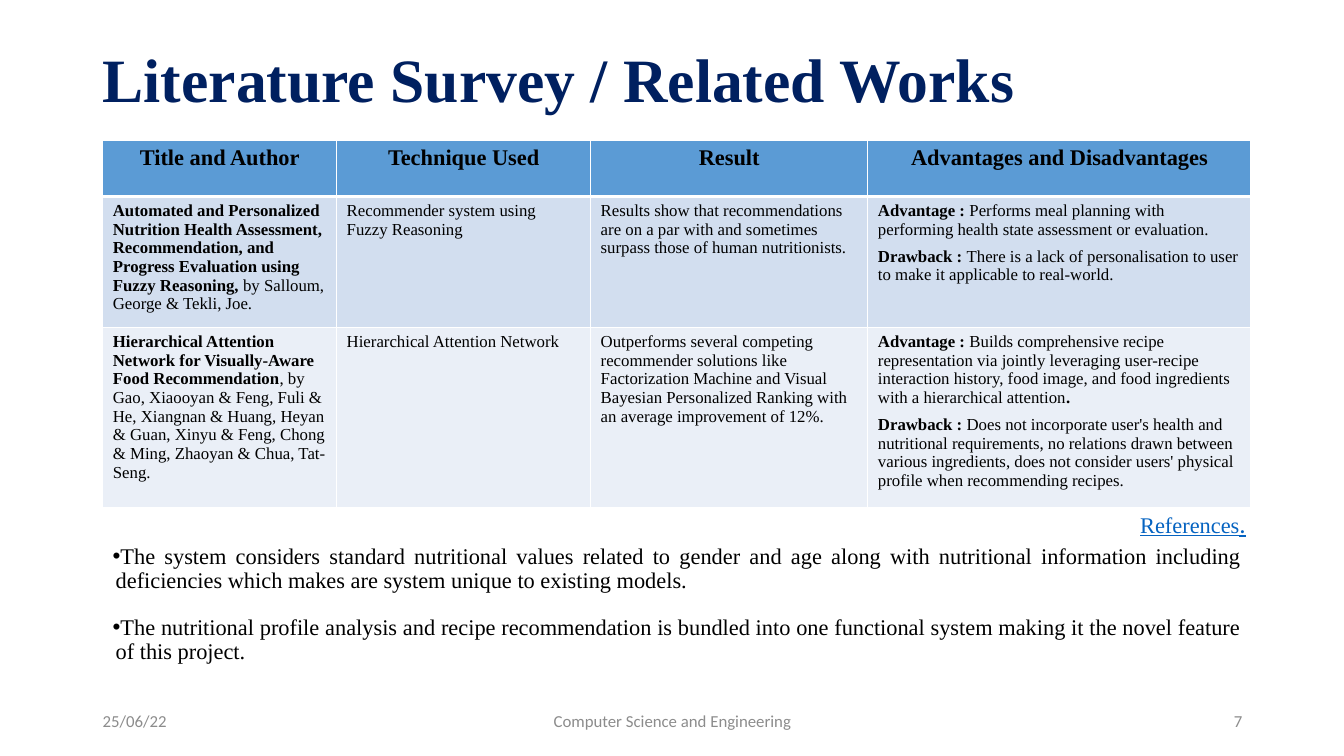
from lxml import etree
from pptx import Presentation
from pptx.dml.color import RGBColor
from pptx.enum.text import MSO_ANCHOR, PP_ALIGN
from pptx.oxml.ns import qn
from pptx.util import Inches, Pt

LEFT, MID, RIGHT, FULL = PP_ALIGN.LEFT, PP_ALIGN.CENTER, PP_ALIGN.RIGHT, PP_ALIGN.JUSTIFY
TOP, HALF = MSO_ANCHOR.TOP, MSO_ANCHOR.MIDDLE
WIDE, HIGH = Inches(13.33), Inches(7.5)
SERIF, SANS = "Times New Roman", "Calibri"
HUES = {"title": "002060", "ink": "000000", "foot": "8C8C8C", "link": "0563C1",
        "head": "5B9BD5", "odd": "D2DEEF", "even": "EAEFF7", "rule": "FFFFFF"}

COLS = [17.4, 18.9, 20.63, 28.51]
ROWS = [7.47, 16.13, 22.13]
HEADS = ["Title and Author", "Technique Used", "Result", "Advantages and Disadvantages"]
WORKS = [
    [["*Automated and Personalized Nutrition Health Assessment, Recommendation, and "
      "Progress Evaluation using Fuzzy Reasoning, *by Salloum, George & Tekli, Joe."],
     ["Recommender system using Fuzzy Reasoning"],
     ["Results show that recommendations are on a par with and sometimes surpass those "
      "of human nutritionists."],
     ["*Advantage : *Performs meal planning with performing health state assessment or "
      "evaluation.",
      "*Drawback : *There is a lack of personalisation to user to make it applicable to "
      "real-world."]],
    [["*Hierarchical Attention Network for Visually-Aware Food Recommendation*, by Gao, "
      "Xiaooyan & Feng, Fuli & He, Xiangnan & Huang, Heyan & Guan, Xinyu & Feng, Chong "
      "& Ming, Zhaoyan & Chua, Tat-Seng."],
     ["Hierarchical Attention Network"],
     ["Outperforms several competing recommender solutions like Factorization Machine "
      "and Visual Bayesian Personalized Ranking with an average improvement of 12%."],
     ["*Advantage : *Builds comprehensive recipe representation via jointly leveraging "
      "user-recipe interaction history, food image, and food ingredients with a "
      "hierarchical attention*.*",
      "*Drawback : *Does not incorporate user's health and nutritional requirements, no "
      "relations drawn between various ingredients, does not consider users' physical "
      "profile when recommending recipes."]],
]
NOTES = [
    "The system considers standard nutritional values related to gender and age along with "
    "nutritional information including deficiencies which makes are system unique to "
    "existing models.",
    "The nutritional profile analysis and recipe recommendation is bundled into one "
    "functional system making it the novel feature of this project.",
]
FEET = [("25/06/22", 6.9, 22.5, LEFT),
        ("Computer Science and Engineering", 33.16, 33.76, MID),
        ("7", 70.67, 22.5, RIGHT)]


def across(share):
    return round(WIDE * share / 100)


def down(share):
    return round(HIGH * share / 100)


def area(left, top, width, height):
    return across(left), down(top), across(width), down(height)


def style(run, size, hue, face=SERIF, bold=False):
    font = run.font
    font.size, font.name, font.bold = Pt(size), face, bold
    font.color.rgb = RGBColor.from_string(HUES[hue])


def add_text(slide, place, lines, size, hue, face=SERIF, align=LEFT, anchor=TOP):
    frame = slide.shapes.add_textbox(*area(*place)).text_frame
    frame.word_wrap = True
    frame.vertical_anchor = anchor
    frame.text = "\n".join(lines)
    for para in frame.paragraphs:
        para.alignment = align
        for run in para.runs:
            style(run, size, hue, face)
    return frame


def add_title(slide, text):
    title = slide.shapes.title
    title.left, title.top, title.width, title.height = area(6.9, 1.2, 86.27, 19.33)
    frame = title.text_frame
    frame.text = text
    frame.vertical_anchor = HALF
    para = frame.paragraphs[0]
    para.alignment, para.line_spacing = LEFT, 0.9
    style(para.runs[0], 44, "title", bold=True)


def add_edge(cell, side, width):
    line = etree.Element(qn("a:ln" + side), w=str(Pt(width)))
    fill = etree.SubElement(line, qn("a:solidFill"))
    etree.SubElement(fill, qn("a:srgbClr"), val=HUES["rule"])
    return line


def fill_cell(cell, lines, hue, size, align, edges):
    cell.fill.solid()
    cell.fill.fore_color.rgb = RGBColor.from_string(HUES[hue])
    props = cell._tc.get_or_add_tcPr()
    for spot, (side, width) in enumerate(zip("LRTB", edges)):
        props.insert(spot, add_edge(cell, side, width))
    frame = cell.text_frame
    frame.text = "\n".join(lines)
    for order, para in enumerate(frame.paragraphs):
        para.alignment = align
        para.space_before = Pt(6 if order else 0)
        parts = para.text.split("*")
        para.text = ""
        for spot, part in enumerate(parts):
            if part:
                run = para.add_run()
                run.text = part
                style(run, size, "ink", bold=spot % 2 == 1)


def add_grid(slide):
    place = area(7.65, 18.53, sum(COLS), sum(ROWS))
    table = slide.shapes.add_table(len(ROWS), len(COLS), *place).table
    for col, share in zip(table.columns, COLS):
        col.width = across(share)
    for row, share in zip(table.rows, ROWS):
        row.height = down(share)
    for col, head in enumerate(HEADS):
        fill_cell(table.cell(0, col), [f"*{head}*"], "head", 16, MID, (1, 1, 1, 3))
    for row, work in enumerate(WORKS, 1):
        hue = "odd" if row % 2 else "even"
        edges = (1, 1, 3 if row == 1 else 1, 1)
        for col, lines in enumerate(work):
            fill_cell(table.cell(row, col), lines, hue, 12, LEFT, edges)


def add_link(slide):
    frame = add_text(slide, (84.1, 66.53, 9.83, 5.33), ["References"], 16, "link")
    para = frame.paragraphs[0]
    stop = para.add_run()
    stop.text = "."
    style(stop, 18, "link", SANS)
    for run in para.runs:
        run.font.underline = True


def add_notes(slide):
    frame = add_text(slide, (7.65, 71.47, 85.45, 17.2), NOTES, 16, "ink", align=FULL)
    for para in frame.paragraphs:
        para.line_spacing = 0.9
        para.space_before, para.space_after = Pt(12), Pt(4)
        props = para._p.get_or_add_pPr()
        props.set("marL", str(Inches(0.03)))
        props.set("indent", str(Inches(-0.31)))
        tint = etree.SubElement(props, qn("a:buClr"))
        etree.SubElement(tint, qn("a:srgbClr"), val=HUES["ink"])
        etree.SubElement(props, qn("a:buFont"), typeface="Arial")
        etree.SubElement(props, qn("a:buChar"), char="•")


def main():
    deck = Presentation()
    deck.slide_width, deck.slide_height = WIDE, HIGH
    slide = deck.slides.add_slide(deck.slide_layouts[5])
    add_title(slide, "Literature Survey / Related Works")
    for text, left, width, align in FEET:
        add_text(slide, (left, 92.67, width, 5.33), [text], 12, "foot", SANS, align, HALF)
    add_grid(slide)
    add_link(slide)
    add_notes(slide)
    deck.save("out.pptx")


if __name__ == "__main__":
    main()
